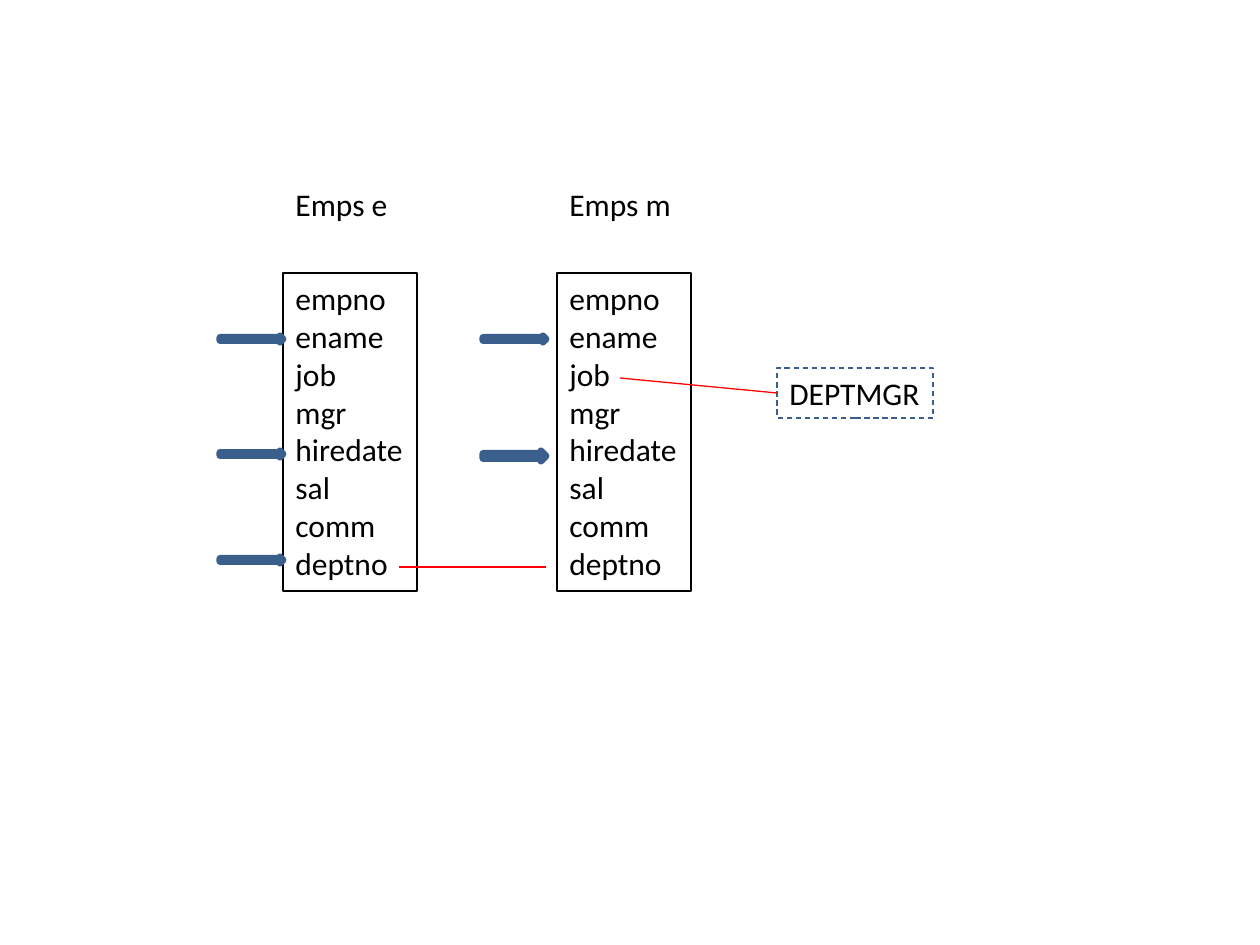
from pptx import Presentation
from pptx.dml.color import RGBColor
from pptx.enum.dml import MSO_LINE_DASH_STYLE as Dash
from pptx.enum.shapes import MSO_CONNECTOR as Connector, MSO_SHAPE as Shape
from pptx.enum.text import MSO_ANCHOR as Anchor, MSO_AUTO_SIZE as AutoSize, PP_ALIGN as Align
from pptx.oxml.ns import qn
from pptx.util import Inches, Pt

SCALE = Inches(1) / 126
BLACK = RGBColor(0x00, 0x00, 0x00)
BLUE = RGBColor(0x3A, 0x5F, 0x8C)
RED = RGBColor(0xFF, 0x00, 0x00)

COLUMNS = ["empno", "ename", "job", "mgr", "hiredate", "sal", "comm", "deptno"]
TABLES = [("Emps e", 283, 118), ("Emps m", 557, 129)]
ARROWS = [(220, 336, 6), (220, 451, 6), (220, 557, 6), (483, 451, 10), (483, 336, 6)]
LINKS = [(399, 567, 546, 567), (620, 378, 777, 393)]


def px(*lengths):
    return [round(length * SCALE) for length in lengths]


def set_values(target, values):
    for name, value in values.items():
        setattr(target, name, value)


def style_line(line, color, width=0.75, dash=None):
    line.color.rgb = color
    set_values(line, {"width": Pt(width), "dash_style": dash})


def write_lines(box, lines):
    frame = box.text_frame
    set_values(frame, {"word_wrap": False, "auto_size": AutoSize.SHAPE_TO_FIT_TEXT,
                       "vertical_anchor": Anchor.TOP})
    for index, text in enumerate(lines):
        para = frame.paragraphs[0] if index == 0 else frame.add_paragraph()
        para.alignment = Align.LEFT
        span = para.add_run()
        set_values(span, {"text": text})
        set_values(span.font, {"name": "Calibri", "size": Pt(18)})
        span.font.color.rgb = BLACK


def add_label(page, text, left, top, width, height):
    box = page.shapes.add_textbox(*px(left, top, width, height))
    write_lines(box, [text])


def add_outline(page, kind, bounds, color, width=0.75, dash=None):
    shape = page.shapes.add_shape(kind, *px(*bounds))
    shape.shadow.inherit = False
    shape.fill.background()
    style_line(shape.line, color, width, dash)
    return shape


def add_link(page, *ends):
    link = page.shapes.add_connector(Connector.STRAIGHT, *px(*ends))
    style_line(link.line, RED)
    properties = link._element.spPr
    properties.append(properties.makeelement(qn("a:effectLst"), {}))


def main():
    deck = Presentation()
    set_values(deck, {"slide_width": Inches(10), "slide_height": Inches(7.5)})
    page = deck.slides.add_slide(deck.slide_layouts[6])

    for title, left, title_width in TABLES:
        box = add_outline(page, Shape.RECTANGLE, (left, 273, 134, 318), BLACK)
        write_lines(box, COLUMNS)
        add_label(page, title, left, 179, title_width, 50)

    for left, top, height in ARROWS:
        add_outline(page, Shape.RIGHT_ARROW, (left, top, 63, height), BLUE, 4)

    value_box = add_outline(page, Shape.RECTANGLE, (777, 368, 156, 50), BLUE, dash=Dash.DASH)
    write_lines(value_box, ["DEPTMGR"])

    for ends in LINKS:
        add_link(page, *ends)

    deck.save("out.pptx")


main()
